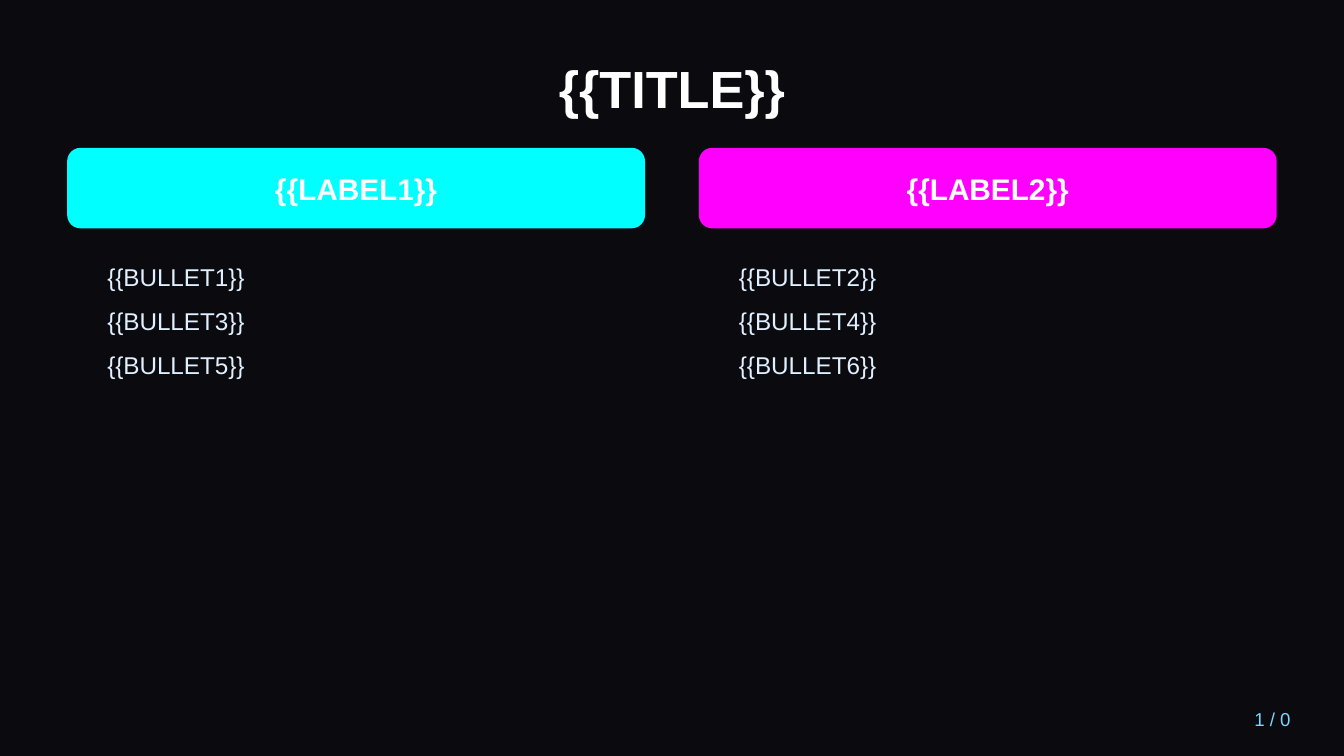
from pptx import Presentation
from pptx.dml.color import RGBColor
from pptx.enum.shapes import MSO_SHAPE
from pptx.enum.text import MSO_ANCHOR, PP_ALIGN
from pptx.util import Inches, Pt

NIGHT = RGBColor(0x0A, 0x0A, 0x0F)
WHITE = RGBColor(0xFF, 0xFF, 0xFF)
CYAN = RGBColor(0x00, 0xFF, 0xFF)
MAGENTA = RGBColor(0xFF, 0x00, 0xFF)
PALE = RGBColor(0xE0, 0xF0, 0xFF)
SKY = RGBColor(0x80, 0xD4, 0xFF)

TITLE = "{{TITLE}}"
COLUMNS = [
    ("{{LABEL1}}", CYAN, ["{{BULLET1}}", "{{BULLET3}}", "{{BULLET5}}"]),
    ("{{LABEL2}}", MAGENTA, ["{{BULLET2}}", "{{BULLET4}}", "{{BULLET6}}"]),
]
PAGE_NUMBER = "1 / 0"

WIDTH = 10
HEIGHT = WIDTH * 9 / 16
MARGIN, GUTTER, INDENT = 0.5, 0.4, 0.2
CONTENT_WIDTH = WIDTH - 2 * MARGIN
COLUMN_WIDTH = (CONTENT_WIDTH - GUTTER * (len(COLUMNS) - 1)) / len(COLUMNS)

FORMATS = {
    "title": {"size": Pt(28), "bold": True},
    "label": {"size": Pt(16), "bold": True},
    "bullet": {"size": Pt(13), "bold": False},
    "number": {"size": Pt(10), "bold": False},
}
COLORS = {"title": WHITE, "label": WHITE, "bullet": PALE, "number": SKY}


def add_text(page, area, lines, style, align, anchor=MSO_ANCHOR.MIDDLE, gap=0):
    frame = page.shapes.add_textbox(*map(Inches, area)).text_frame
    frame.word_wrap = True
    frame.vertical_anchor = anchor
    for index, line in enumerate(lines):
        paragraph = frame.add_paragraph() if index else frame.paragraphs[0]
        paragraph.alignment = align
        paragraph.space_after = Pt(gap)
        span = paragraph.add_run()
        span.text = line
        span.font.name = "Arial"
        span.font.color.rgb = COLORS[style]
        for name, value in FORMATS[style].items():
            setattr(span.font, name, value)


def add_header(page, area, label, color):
    header = page.shapes.add_shape(MSO_SHAPE.ROUNDED_RECTANGLE, *map(Inches, area))
    header.shadow.inherit = False
    header.fill.solid()
    header.fill.fore_color.rgb = color
    header.line.fill.background()
    add_text(page, area, [label], "label", PP_ALIGN.CENTER)


def main():
    deck = Presentation()
    deck.slide_width, deck.slide_height = Inches(WIDTH), Inches(HEIGHT)
    page = deck.slides.add_slide(deck.slide_layouts[6])
    page.background.fill.solid()
    page.background.fill.fore_color.rgb = NIGHT

    add_text(page, (MARGIN, 0.3, CONTENT_WIDTH, 0.7), [TITLE], "title", PP_ALIGN.CENTER)
    lefts = [MARGIN + index * (COLUMN_WIDTH + GUTTER) for index in range(len(COLUMNS))]
    for left, (label, color, bullets) in zip(lefts, COLUMNS):
        add_header(page, (left, 1.1, COLUMN_WIDTH, 0.6), label, color)
    for left, (label, color, bullets) in zip(lefts, COLUMNS):
        area = (left + INDENT, 1.9, COLUMN_WIDTH - 2 * INDENT, 2.8)
        add_text(page, area, bullets, "bullet", PP_ALIGN.LEFT, anchor=MSO_ANCHOR.TOP, gap=8)
    add_text(page, (8.5, 5.2, 1.2, 0.3), [PAGE_NUMBER], "number", PP_ALIGN.RIGHT)

    deck.save("out.pptx")


if __name__ == "__main__":
    main()
